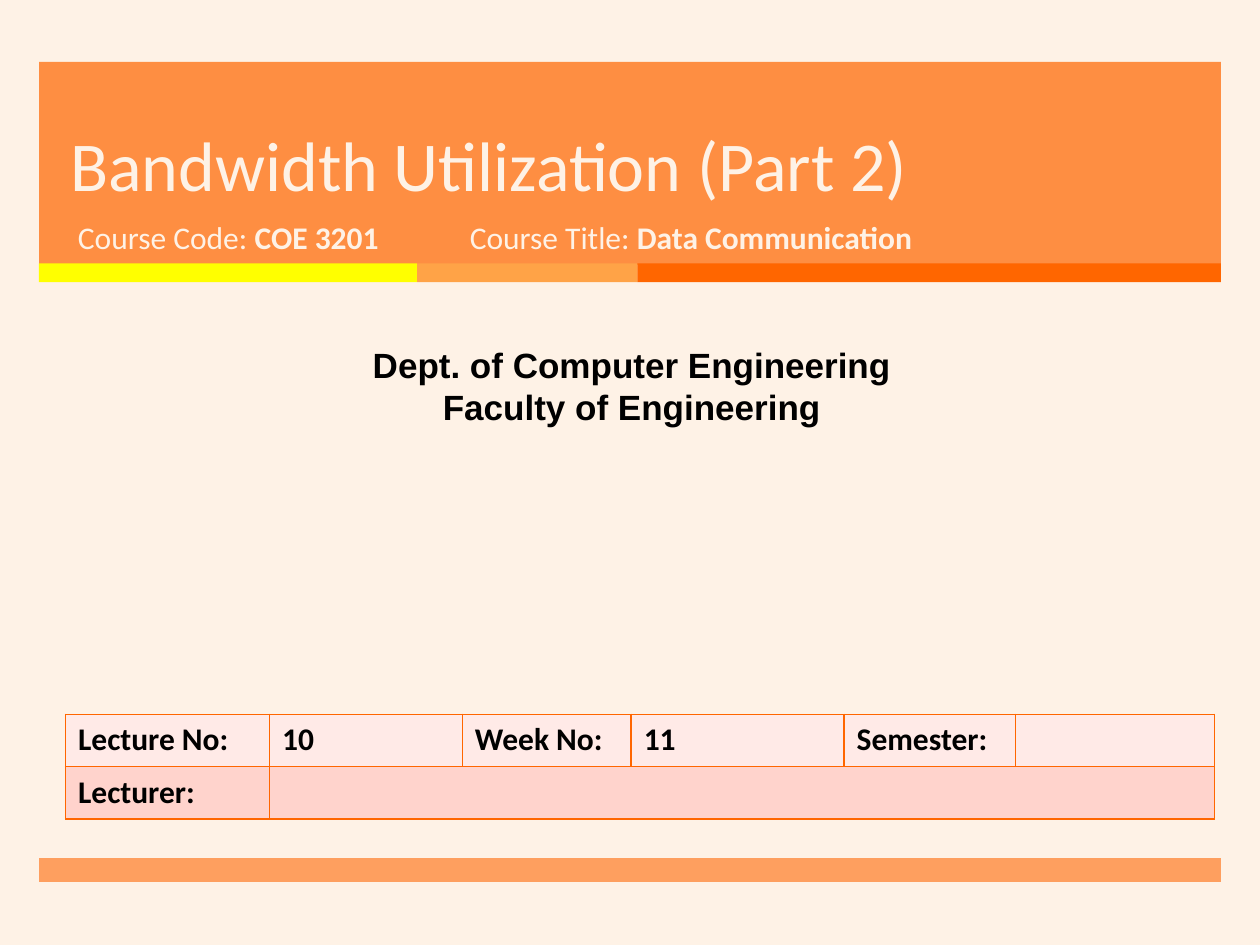
from pptx import Presentation
from pptx.dml.color import RGBColor
from pptx.enum.shapes import MSO_SHAPE
from pptx.enum.text import MSO_ANCHOR, PP_ALIGN
from pptx.oxml import parse_xml
from pptx.oxml.ns import nsdecls, qn
from pptx.util import Inches, Pt
from lxml import etree

CREAM = RGBColor(0xFE, 0xF2, 0xE6)
ORANGE = RGBColor(0xFF, 0x7D, 0x26)
YELLOW = RGBColor(0xFF, 0xFF, 0x00)
AMBER = RGBColor(0xFF, 0xA3, 0x47)
DEEP = RGBColor(0xFF, 0x66, 0x00)
PALE = RGBColor(0xFF, 0xEA, 0xE7)
PINK = RGBColor(0xFF, 0xD3, 0xCC)
BLACK = RGBColor(0, 0, 0)

deck = Presentation()
deck.slide_width, deck.slide_height = Inches(10), Inches(7.5)
slide = deck.slides.add_slide(deck.slide_layouts[6])
slide.background.fill.solid()
slide.background.fill.fore_color.rgb = CREAM


def add_run(para, text, size, color, bold=False, face="Calibri"):
    run = para.add_run()
    run.text = text
    run.font.name, run.font.size, run.font.bold = face, Pt(size), bold
    run.font.color.rgb = color


def add_box(left, top, width, height):
    """Add a wrapping text box and return its text frame."""
    box = slide.shapes.add_textbox(
        Inches(left), Inches(top), Inches(width), Inches(height))
    box.text_frame.word_wrap = True
    return box.text_frame


# Banner, three-colour stripe and footer bar: left, top, width, height, opacity %
bars = [
    (0.31, 0.49, 9.38, 1.61, ORANGE, 85),
    (0.31, 2.09, 3, 0.15, YELLOW, 100),
    (3.31, 2.09, 1.75, 0.15, AMBER, 100),
    (5.06, 2.09, 4.63, 0.15, DEEP, 100),
    (0.31, 6.81, 9.38, 0.19, ORANGE, 70),
]
for left, top, width, height, color, alpha in bars:
    bar = slide.shapes.add_shape(
        MSO_SHAPE.RECTANGLE, Inches(left), Inches(top), Inches(width), Inches(height))
    bar.shadow.inherit = False
    bar.line.fill.background()
    bar.fill.solid()
    bar.fill.fore_color.rgb = color
    if alpha < 100:
        tint = bar.fill._xPr.find(qn("a:solidFill"))[0]
        etree.SubElement(tint, qn("a:alpha"), val=str(alpha * 1000))

# Title
title = add_box(0.46, 0.49, 8.54, 1.19)
title.vertical_anchor = MSO_ANCHOR.BOTTOM
title.paragraphs[0].line_spacing = Pt(46)
add_run(title.paragraphs[0], "Bandwidth Utilization (Part 2)", 40, CREAM)

# Course details
courses = [
    (0.52, 3.05, "Course Code: ", "COE 3201"),
    (3.63, 4.55, "Course Title: ", "Data Communication"),
]
for left, width, label, value in courses:
    para = add_box(left, 1.68, width, 0.53).paragraphs[0]
    add_run(para, label, 18, CREAM)
    add_run(para, value, 18, CREAM, bold=True)

# Department
dept = add_box(0.08, 2.68, 9.87, 0.77)
dept_lines = ["Dept. of Computer Engineering", "Faculty of Engineering"]
for i, line in enumerate(dept_lines):
    para = dept.add_paragraph() if i else dept.paragraphs[0]
    para.alignment = PP_ALIGN.CENTER
    add_run(para, line, 20, BLACK, bold=True, face="Arial")

# Lecture table
rows = [
    (PALE, ["Lecture No:", "10", "Week No:", "11", "Semester:", ""]),
    (PINK, ["Lecturer:", "", "", "", "", ""]),
]
widths = [1.62, 1.53, 1.34, 1.69, 1.36, 1.58]
table = slide.shapes.add_table(
    len(rows), len(widths), Inches(0.52), Inches(5.67),
    Inches(sum(widths)), Inches(0.83)).table
for col, width in zip(table.columns, widths):
    col.width = Inches(width)
for r, (shade, texts) in enumerate(rows):
    table.rows[r].height = Inches(0.415)
    for c, text in enumerate(texts):
        cell = table.cell(r, c)
        for side in ("lnL", "lnR", "lnT", "lnB"):
            cell._tc.get_or_add_tcPr().append(parse_xml(
                f'<a:{side} {nsdecls("a")} w="12700"><a:solidFill>'
                f'<a:srgbClr val="{DEEP}"/></a:solidFill></a:{side}>'))
        cell.fill.solid()
        cell.fill.fore_color.rgb = shade
        if text:
            add_run(cell.text_frame.paragraphs[0], text, 18, BLACK, bold=True)
table.cell(1, 1).merge(table.cell(1, 5))

deck.save("out.pptx")
